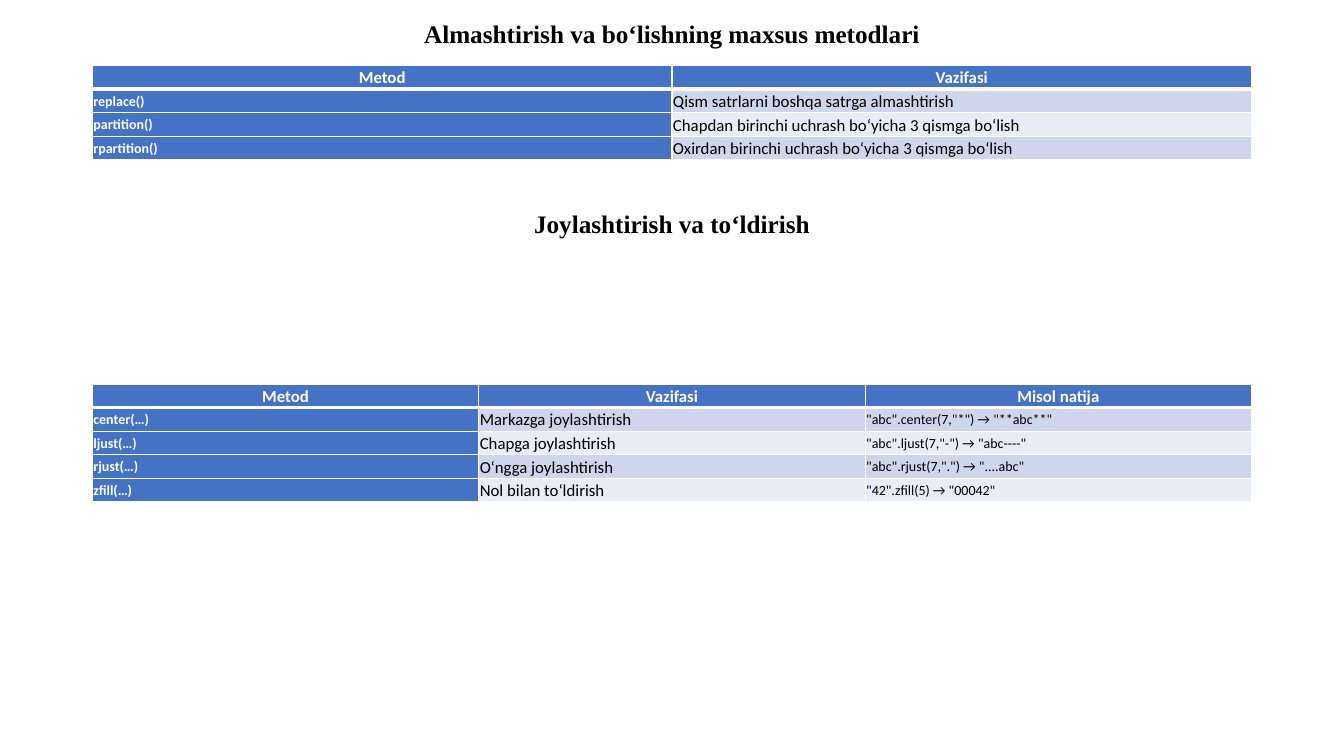
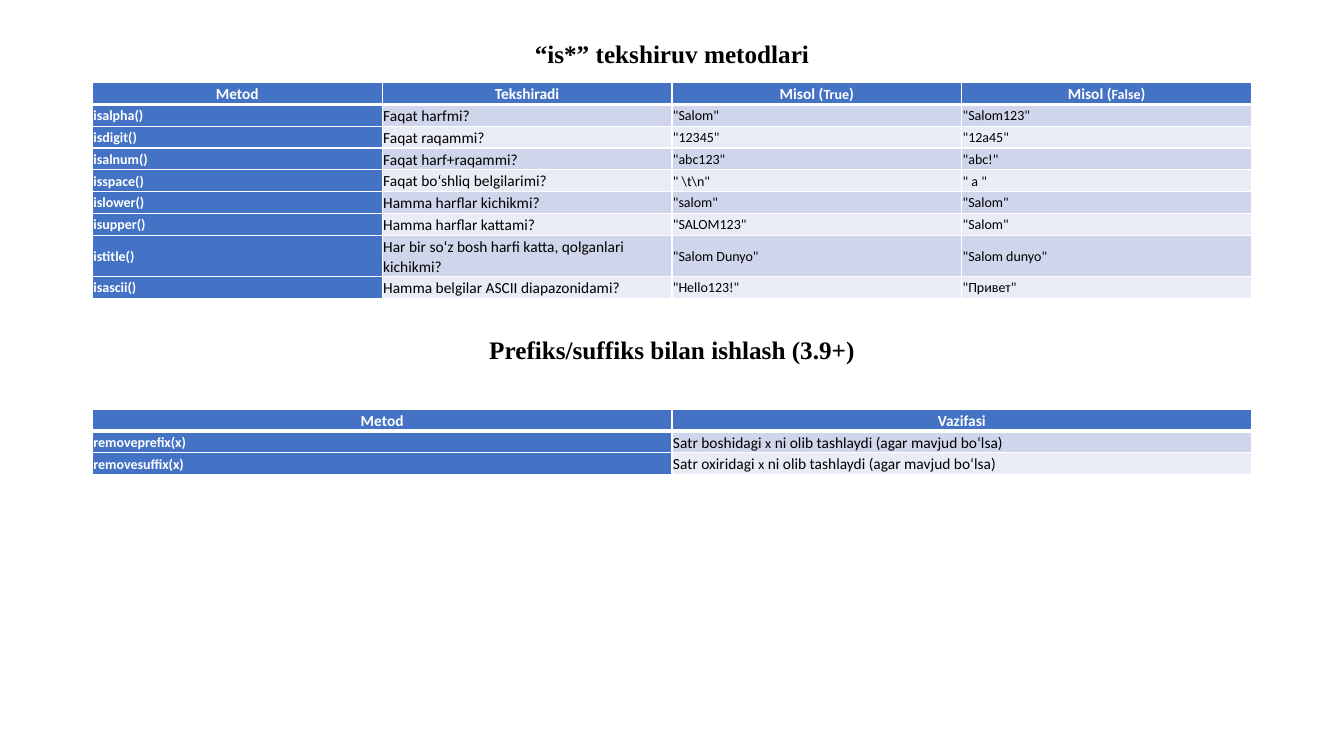
import lxml.etree
import pptx
import pptx.dml.color
import pptx.enum.text
import pptx.oxml.ns
import pptx.util

HEADER_BLUE, WHITE, BLACK = "4472C4", "FFFFFF", "000000"
BANDS = ["CFD5EA", "E9EBF5"]
TITLE_FONT, TABLE_FONT = "Times New Roman", "Calibri"
TITLE_SIZE, CODE_SIZE = 18, 10

deck = pptx.Presentation()
deck.slide_width = pptx.util.Inches(13.33)
deck.slide_height = pptx.util.Inches(7.5)
COLUMN = deck.slide_width / 16
ROW = deck.slide_height / 75
TABLE_WIDTH = int(13.8 * COLUMN)
TABLE_LEFT = (deck.slide_width - TABLE_WIDTH) // 2
TITLE_HEIGHT = int(4 * ROW)
CELL_INSET = pptx.util.Inches(0.01)


def rgb(hex_code):
    return pptx.dml.color.RGBColor.from_string(hex_code)


def add_border(cell, side, points):
    """Draw a white line on one side (L, R, T or B); call before filling the cell."""
    qn = pptx.oxml.ns.qn
    line = lxml.etree.SubElement(cell._tc.get_or_add_tcPr(), qn(f"a:ln{side}"),
                                 w=str(pptx.util.Pt(points)))
    paint = lxml.etree.SubElement(line, qn("a:solidFill"))
    lxml.etree.SubElement(paint, qn("a:srgbClr"), val=WHITE)


# Each slide: text size, row height in grid rows, and its sections.
# Each section: heading, heading width in columns, heading top, table top, table rows.
# Backticks mark code, which is set smaller.
SLIDES = [
    (12, 2.3, [
        ("Almashtirish va bo‘lishning maxsus metodlari", 6.2, 1.3, 6.5, [
            ["Metod", "Vazifasi"],
            ["`replace()`", "Qism satrlarni boshqa satrga almashtirish"],
            ["`partition()`", "Chapdan birinchi uchrash bo‘yicha 3 qismga bo‘lish"],
            ["`rpartition()`", "Oxirdan birinchi uchrash bo‘yicha 3 qismga bo‘lish"],
        ]),
        ("Joylashtirish va to‘ldirish", 3.55, 20.2, 38.1, [
            ["Metod", "Vazifasi", "Misol natija"],
            ["`center(…)`", "Markazga joylashtirish", '`"abc".center(7,"*") → "**abc**"`'],
            ["`ljust(…)`", "Chapga joylashtirish", '`"abc".ljust(7,"-") → "abc----"`'],
            ["`rjust(…)`", "O‘ngga joylashtirish", '`"abc".rjust(7,".") → "....abc"`'],
            ["`zfill(…)`", "Nol bilan to‘ldirish", '`"42".zfill(5) → "00042"`'],
        ]),
    ]),
    (11, 2.1, [
        ("“is*” tekshiruv metodlari", 3.54, 3.3, 8.2, [
            ["Metod", "Tekshiradi", "Misol (`True`)", "Misol (`False`)"],
            ["`isalpha()`", "Faqat harfmi?", '`"Salom"`', '`"Salom123"`'],
            ["`isdigit()`", "Faqat raqammi?", '`"12345"`', '`"12a45"`'],
            ["`isalnum()`", "Faqat harf+raqammi?", '`"abc123"`', '`"abc!"`'],
            ["`isspace()`", "Faqat bo‘shliq belgilarimi?", r'`" \t\n"`', '`" a "`'],
            ["`islower()`", "Hamma harflar kichikmi?", '`"salom"`', '`"Salom"`'],
            ["`isupper()`", "Hamma harflar kattami?", '`"SALOM123"`', '`"Salom"`'],
            ["`istitle()`", "Har bir so‘z bosh harfi katta, qolganlari kichikmi?",
             '`"Salom Dunyo"`', '`"Salom dunyo"`'],
            ["`isascii()`", "Hamma belgilar ASCII diapazonidami?", '`"Hello123!"`', '`"Привет"`'],
        ]),
        ("Prefiks/suffiks bilan ishlash (3.9+)", 4.63, 32.7, 40.6, [
            ["Metod", "Vazifasi"],
            ["`removeprefix(x)`", "Satr boshidagi `x` ni olib tashlaydi (agar mavjud bo‘lsa)"],
            ["`removesuffix(x)`", "Satr oxiridagi `x` ni olib tashlaydi (agar mavjud bo‘lsa)"],
        ]),
    ]),
]

CENTER = pptx.enum.text.PP_ALIGN.CENTER
LEFT = pptx.enum.text.PP_ALIGN.LEFT
title_only = deck.slide_layouts.get_by_name("Title Only")

for text_size, row_height, sections in SLIDES:
    slide = deck.slides.add_slide(title_only)
    for section, (heading_text, columns, heading_top, table_top, rows) in enumerate(sections):
        heading = slide.shapes.title if section == 0 else slide.shapes.add_textbox(0, 0, 0, 0)
        heading.width, heading.height = int(columns * COLUMN), TITLE_HEIGHT
        heading.left = (deck.slide_width - heading.width) // 2
        heading.top = int(heading_top * ROW)
        frame = heading.text_frame
        frame.text = heading_text
        frame.word_wrap = False
        frame.auto_size = pptx.enum.text.MSO_AUTO_SIZE.SHAPE_TO_FIT_TEXT
        frame.vertical_anchor = pptx.enum.text.MSO_ANCHOR.TOP
        frame.paragraphs[0].alignment = CENTER
        font = frame.paragraphs[0].runs[0].font
        font.name, font.size, font.bold = TITLE_FONT, pptx.util.Pt(TITLE_SIZE), True
        font.color.rgb = rgb(BLACK)

        methods = slide.shapes.add_table(
            len(rows), len(rows[0]), TABLE_LEFT, int(table_top * ROW),
            TABLE_WIDTH, int(len(rows) * row_height * ROW)).table
        for r, row in enumerate(rows):
            for c, content in enumerate(row):
                cell = methods.cell(r, c)
                emphasized = r == 0 or c == 0
                for side in "LRTB":
                    under_header = (r, side) in [(0, "B"), (1, "T")]
                    add_border(cell, side, 3 if under_header else 1)
                cell.fill.solid()
                cell.fill.fore_color.rgb = rgb(HEADER_BLUE if emphasized else BANDS[(r - 1) % 2])
                cell.margin_left = cell.margin_right = CELL_INSET
                cell.margin_top = cell.margin_bottom = CELL_INSET
                cell.vertical_anchor = pptx.enum.text.MSO_ANCHOR.MIDDLE
                paragraph = cell.text_frame.paragraphs[0]
                paragraph.alignment = CENTER if r == 0 else LEFT
                paragraph.line_spacing = 1.07
                for part, words in enumerate(content.split("`")):
                    if not words:
                        continue
                    run = paragraph.add_run()
                    run.text = words
                    run.font.name = TABLE_FONT
                    run.font.size = pptx.util.Pt(CODE_SIZE if part % 2 else text_size)
                    run.font.bold = emphasized
                    run.font.color.rgb = rgb(WHITE if emphasized else BLACK)

deck.save("out.pptx")
